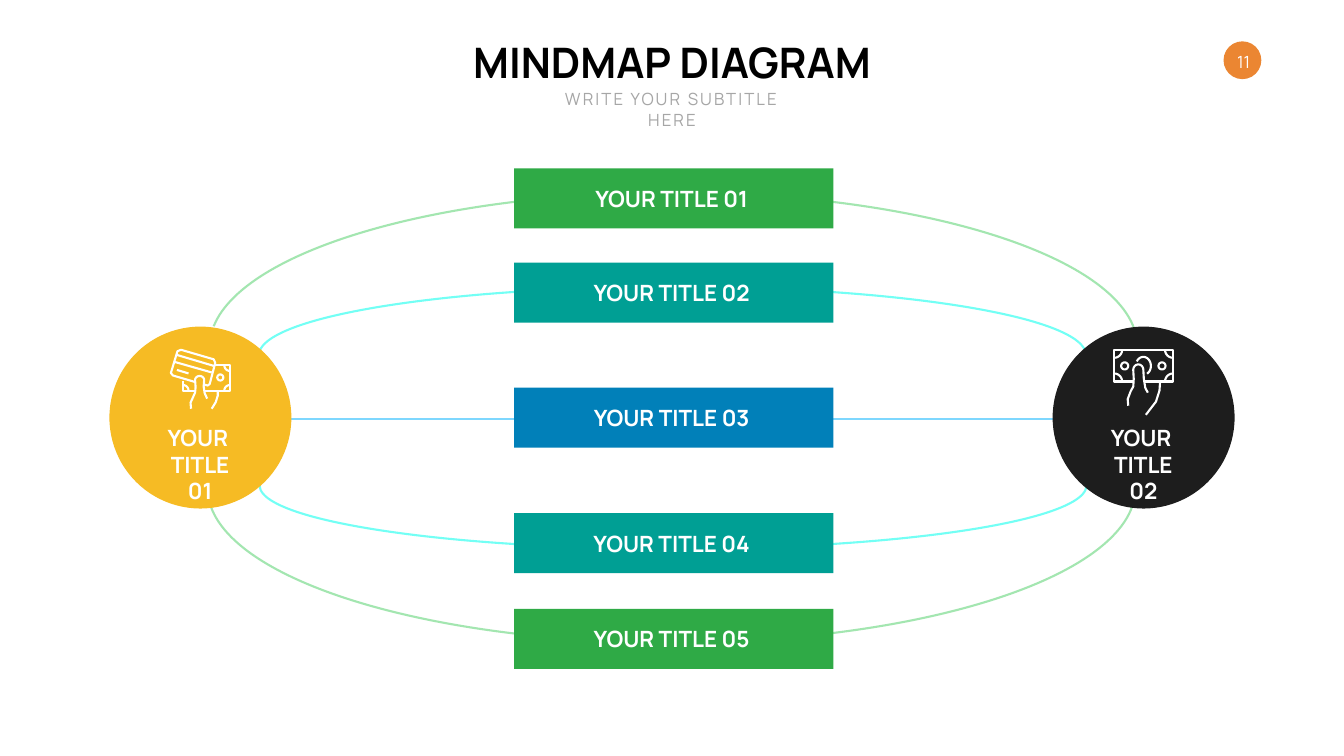
from math import cos, radians, sin

from pptx import Presentation, util as u
from pptx.dml.color import RGBColor
from pptx.enum import shapes, text
from pptx.oxml import parse_xml
from pptx.oxml.ns import nsdecls

COLS, ROWS = 26.66, 15  # one grid cell is one inch
MID = 13.365            # middle column of the bars
WHITE, GREEN, TEAL, BLUE = "FFFFFF", "2FAA46", "009F94", "0180B9"
MINT, AQUA, SKY = "A3E6B0", "73FFF5", "7ED7FE"


def hue(code):
    return RGBColor.from_string(code)


def write(frame, *lines, size=32, color=WHITE, bold=True, gap=0):
    """Fill a frame with centred lines; gap is letter spacing in points."""
    for i, line in enumerate(lines):
        para = frame.paragraphs[0] if i == 0 else frame.add_paragraph()
        para.alignment = text.PP_ALIGN.CENTER
        run = para.add_run()
        run.text = line
        font = run.font
        font.name, font.size, font.bold = "Manrope", u.Pt(size), bold
        font.color.rgb = hue(color)
        if gap:
            run._r.get_or_add_rPr().set("spc", str(gap * 100))


def bend(x, y, wide, high, start, end, step=15):
    """Points along an ellipse from one angle to another, clockwise."""
    return [(x + wide * cos(radians(a)), y + high * sin(radians(a)))
            for a in range(start, end + 1, step)]


def ring(x, y, size):
    return bend(x, y, size, size, 0, 360)


def nook(x, y, size, start):
    """Quarter circle around a banknote corner."""
    return bend(x, y, size, size, start, start + 90)


class Board:
    font_rows = 0.64

    def __init__(self):
        self.deck = Presentation()
        self.deck.slide_width = u.Inches(COLS)
        self.deck.slide_height = u.Inches(ROWS)
        self.slide = self.deck.slides.add_slide(self.deck.slide_layouts[6])
        self.items = self.slide.shapes

    def cells(self, *spans):
        return [u.Inches(s) for s in spans]

    def shape(self, kind, fill, *box):
        item = self.items.add_shape(kind, *self.cells(*box))
        item.shadow.inherit = False
        item.line.fill.background()
        if fill:
            item.fill.solid()
            item.fill.fore_color.rgb = hue(fill)
        else:
            item.fill.background()
        return item

    def disc(self, fill, x, y, size):
        return self.shape(shapes.MSO_SHAPE.OVAL, fill, x, y, size, size)

    def stroke(self, item, color):
        item.line.color.rgb = hue(color)
        item.line.width = u.Pt(3)

    def arc(self, color, box, start, end, turn=0):
        """Arc between two angles in degrees."""
        item = self.shape(shapes.MSO_SHAPE.ARC, None, *box)
        for i, angle in enumerate((start, end)):
            item.adjustments[i] = angle * 0.6
        item.rotation = turn
        self.stroke(item, color)

    def line(self, color, x, end, y):
        item = self.items.add_connector(
            shapes.MSO_CONNECTOR.STRAIGHT, *self.cells(x, y, end, y))
        self.stroke(item, color)
        item._element.spPr.append(parse_xml(f"<a:effectLst {nsdecls('a')}/>"))

    def label(self, x, y, wide, high, *lines, wrap=False, middle=False, **fmt):
        """Text box centred on column x, with its top at row y."""
        item = self.items.add_textbox(
            *self.cells(x - wide / 2, y, wide, high))
        frame = item.text_frame
        frame.word_wrap = wrap
        frame.auto_size = text.MSO_AUTO_SIZE.SHAPE_TO_FIT_TEXT
        if middle:
            frame.vertical_anchor = text.MSO_ANCHOR.MIDDLE
        write(frame, *lines, **fmt)

    def bar(self, fill, y, title):
        wide, high = 6.33, 1.19
        self.shape(shapes.MSO_SHAPE.RECTANGLE, fill,
                   MID - wide / 2, y, wide, high)
        self.label(MID - 0.04, y + (high - self.font_rows) / 2, 3.34,
                   self.font_rows, title, middle=True)

    def icon(self, x, y, strokes):
        """One outline made of several open strokes."""
        paths = [[self.cells(x + a, y + b) for a, b in s] for s in strokes]
        pen = self.items.build_freeform(*paths[0][0], scale=1.0)
        for i, path in enumerate(paths):
            if i:
                pen.move_to(*path[0])
            pen.add_line_segments(path[1:], close=False)
        item = pen.convert_to_shape()
        item.shadow.inherit = False
        item.fill.background()
        self.stroke(item, WHITE)


CARD = [
    [(0.68, 0.71), (0.75, 0.73), (0.79, 0.7), (0.9, 0.28), (0.87, 0.21),
     (0.22, 0.02), (0.15, 0.05), (0.02, 0.48), (0.06, 0.53), (0.5, 0.66)],
    [(0.13, 0.12), (0.87, 0.34)],
    [(0.09, 0.26), (0.83, 0.47)],
    [(0.14, 0.42), (0.37, 0.49)],
    [(0.9, 0.33), (1.19, 0.33), (1.19, 0.83), (0.69, 0.83)],
    [(0.26, 0.63), (0.26, 0.83), (0.5, 0.83)],
    nook(1.19, 0.33, 0.11, 90), nook(1.19, 0.83, 0.11, 180),
    nook(0.26, 0.83, 0.11, 270), ring(1, 0.57, 0.06),
    [(0.42, 1.19), (0.41, 1.07), (0.46, 0.96), (0.5, 0.87), (0.51, 0.76),
     *bend(0.59, 0.62, 0.09, 0.08, 180, 360),
     (0.67, 0.75), (0.69, 0.88), (0.74, 0.99)],
    [(0.95, 0.83), (0.95, 0.93), (0.91, 1.06), (0.83, 1.19)],
]
NOTE = [
    [(0.39, 0.65), (0.02, 0.65), (0.02, 0.02), (1.19, 0.02), (1.19, 0.65),
     (0.62, 0.65)],
    nook(0.02, 0.02, 0.16, 0), nook(1.19, 0.02, 0.16, 90),
    nook(1.19, 0.65, 0.16, 180), nook(0.02, 0.65, 0.16, 270),
    ring(0.23, 0.34, 0.07), ring(0.97, 0.34, 0.07),
    bend(0.6, 0.34, 0.15, 0.18, 210, 420),
    [(0.3, 1.13), (0.29, 1), (0.35, 0.84), (0.4, 0.75), (0.41, 0.6),
     *bend(0.5, 0.42, 0.1, 0.11, 180, 360),
     (0.61, 0.6), (0.64, 0.78), (0.69, 0.87)],
    [(0.93, 0.68), (0.92, 0.83), (0.85, 1.05), (0.65, 1.31)],
]


def main():
    board = Board()
    board.disc("EB8632", 24.27, 0.82, 0.75)
    page = board.disc(None, 24.32, 0.87, 0.7).text_frame
    page.margin_left = page.margin_right = 0
    page.margin_top = page.margin_bottom = 0
    page.vertical_anchor = text.MSO_ANCHOR.MIDDLE
    write(page, "11", size=24, bold=False)

    board.arc(AQUA, (5.14, 5.69, 16.4, 2.7), 179.92, 0)
    board.arc(MINT, (4.16, 3.82, 18.4, 6.11), 182.52, 357.76)
    board.arc(MINT, (4.12, 6.64, 18.4, 6.11), 182.2, 357.76, turn=180)
    board.arc(AQUA, (5.15, 8.38, 16.4, 2.51), 179.92, 0, turn=180)
    board.line(SKY, 5.7, 21, 8.32)

    board.label(COLS / 2, 0.67, 8.63, 1.11, "MINDMAP DIAGRAM",
                size=60, color="000000")
    board.label(COLS / 2, 1.72, 5.43, 0.5, "WRITE YOUR SUBTITLE HERE",
                wrap=True, size=24, color="A6A6A6", bold=False, gap=3)

    bars = ((GREEN, 3.34), (TEAL, 5.21), (BLUE, 7.69), (TEAL, 10.18),
            (GREEN, 12.08))
    for i, (fill, y) in enumerate(bars, 1):
        board.bar(fill, y, f"YOUR TITLE {i:02}")

    hubs = (("F6BB24", 2.17, CARD, 1.88), ("1D1D1D", 20.88, NOTE, 1.96))
    for i, (fill, x, art, wide) in enumerate(hubs, 1):
        board.disc(fill, x, 6.48, 3.61)
        board.icon(x + 1.2, 6.92, art)
        board.label(x + 1.8, 8.36, wide, 1.18, "YOUR ", f"TITLE {i:02}",
                    wrap=True)

    board.deck.save("out.pptx")


if __name__ == "__main__":
    main()
